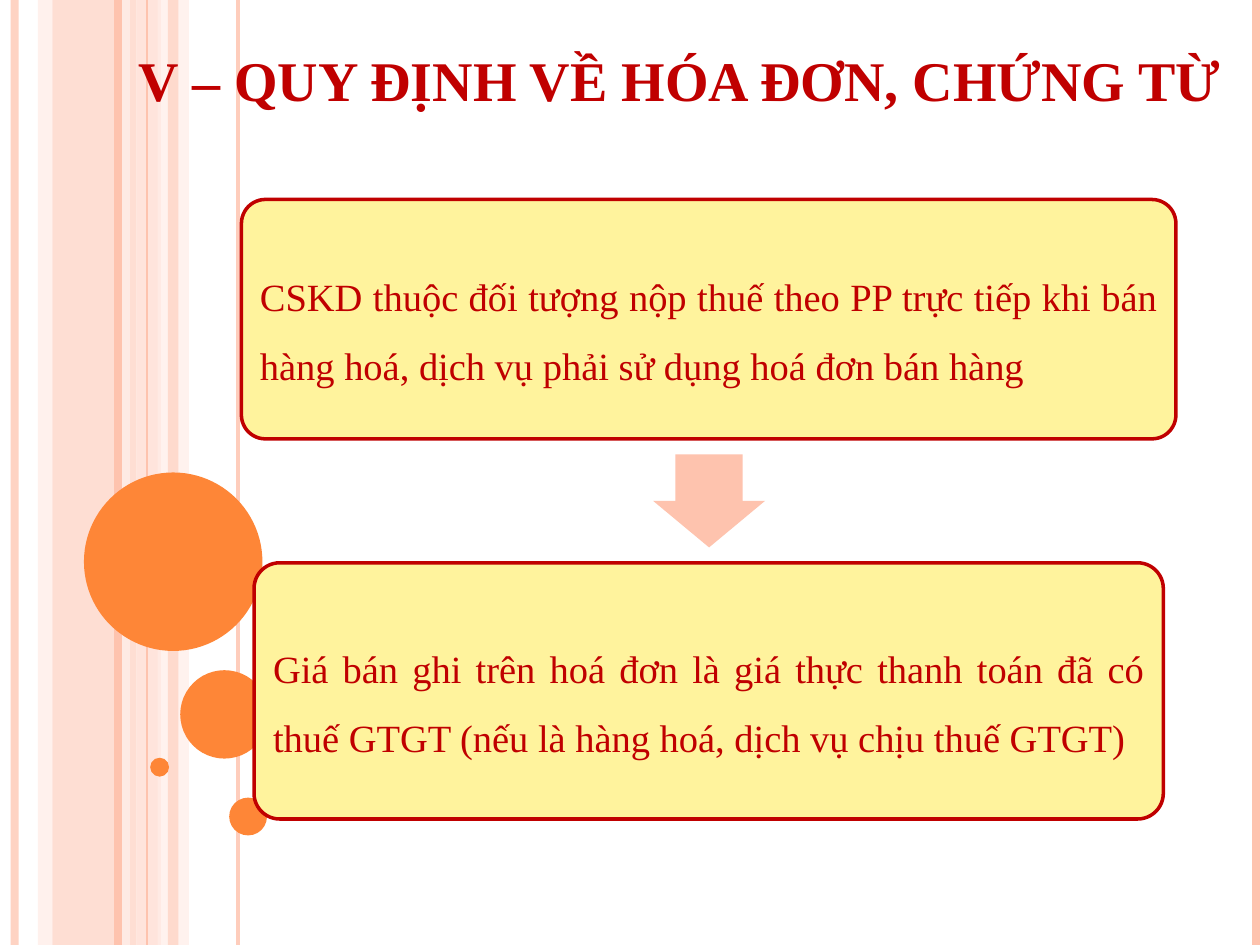
from lxml import etree
from pptx import Presentation
from pptx.dml.color import RGBColor
from pptx.enum.shapes import MSO_CONNECTOR, MSO_SHAPE
from pptx.enum.text import MSO_ANCHOR, PP_ALIGN
from pptx.oxml.ns import qn
from pptx.util import Pt

RECTANGLE = MSO_SHAPE.RECTANGLE
ROUNDED = MSO_SHAPE.ROUNDED_RECTANGLE
OVAL = MSO_SHAPE.OVAL
DOWN_ARROW = MSO_SHAPE.DOWN_ARROW
STRAIGHT = MSO_CONNECTOR.STRAIGHT
LEFT, JUSTIFY = PP_ALIGN.LEFT, PP_ALIGN.JUSTIFY
TOP, MIDDLE = MSO_ANCHOR.TOP, MSO_ANCHOR.MIDDLE

PEACH = RGBColor(0xFE, 0xC3, 0xAE)
LIGHT_PEACH = RGBColor(0xFF, 0xD9, 0xCE)
PALE_PEACH = RGBColor(0xFF, 0xED, 0xE8)
ORANGE = RGBColor(0xFE, 0x86, 0x37)
YELLOW = RGBColor(0xFF, 0xF3, 0x9D)
DARK_RED = RGBColor(0xC0, 0x00, 0x00)

FONT = "Times New Roman"
SLIDE_WIDTH, SLIDE_HEIGHT = 720, 540
TITLE = "V – QUY ĐỊNH VỀ HÓA ĐƠN, CHỨNG TỪ"

# left, width, colour, opacity in percent
BANDS = [
    (30, 48, PEACH, 54),
    (21.6, 8.4, LIGHT_PEACH, 36),
    (78, 14, LIGHT_PEACH, 70),
    (90, 18, PALE_PEACH, 71),
]
FRONT_BAND = (96, 6, PEACH, 51)

# x, line width, colour, opacity in percent
STRIPES = [
    (8.4, 4.5, PEACH, 73),
    (72, 4.5, PALE_PEACH, 83),
    (67.2, 4.5, PEACH, 100),
    (136, 2.25, PEACH, 82),
    (84, 0.75, PEACH, 100),
    (717.6, 4.5, PEACH, 100),
]

# left, top, diameter
CIRCLES = [
    (48, 270, 102),
    (103, 383, 50.5),
    (85.8, 433, 10.8),
    (131, 455.8, 21.6),
]

# left, top, width, height, text
STEPS = [
    (138, 114, 534, 136.8,
     "CSKD thuộc đối tượng nộp thuế theo PP trực tiếp khi bán "
     "hàng hoá, dịch vụ phải sử dụng hoá đơn bán hàng"),
    (145.2, 321.6, 519.6, 146.4,
     "Giá bán ghi trên hoá đơn là giá thực thanh toán đã có "
     "thuế GTGT (nếu là hàng hoá, dịch vụ chịu thuế GTGT)"),
]


def set_opacity(element, percent):
    """Make the first colour of an element partly transparent."""
    if percent < 100:
        colour = next(element.iter(qn("a:srgbClr")))
        etree.SubElement(colour, qn("a:alpha")).set("val", str(percent * 1000))


def add_filled(slide, preset, left, top, width, height, colour, opacity=100):
    """Add a flat preset shape without an outline."""
    shape = slide.shapes.add_shape(preset, Pt(left), Pt(top), Pt(width), Pt(height))
    shape.shadow.inherit = False
    shape.fill.solid()
    shape.fill.fore_color.rgb = colour
    shape.line.fill.background()
    set_opacity(shape.fill._xPr, opacity)
    return shape


def add_band(slide, left, width, colour, opacity):
    """Add a vertical band over the full slide height."""
    add_filled(slide, RECTANGLE, left, 0, width, SLIDE_HEIGHT, colour, opacity)


def add_stripe(slide, x, width, colour, opacity):
    """Add a vertical line over the full slide height."""
    stripe = slide.shapes.add_connector(STRAIGHT, Pt(x), Pt(0), Pt(x), Pt(SLIDE_HEIGHT))
    stripe.line.width = Pt(width)
    stripe.line.color.rgb = colour
    properties = stripe._element.spPr
    set_opacity(properties, opacity)
    etree.SubElement(properties, qn("a:effectLst"))


def write_text(frame, text, size, alignment, anchor, bold=False):
    """Write one paragraph of red text into a frame."""
    frame.word_wrap = True
    frame.vertical_anchor = anchor
    paragraph = frame.paragraphs[0]
    paragraph.alignment = alignment
    run = paragraph.add_run()
    run.text = text
    run.font.name = FONT
    run.font.size = Pt(size)
    run.font.bold = bold
    run.font.color.rgb = DARK_RED
    return paragraph


def add_decoration(slide):
    """Draw the bands, stripes and circles of the background."""
    for band in BANDS:
        add_band(slide, *band)
    for stripe in STRIPES:
        add_stripe(slide, *stripe)
    add_band(slide, *FRONT_BAND)
    for left, top, diameter in CIRCLES:
        add_filled(slide, OVAL, left, top, diameter, diameter, ORANGE)


def add_title(slide):
    """Fill the title placeholder and bring it in front of the decoration."""
    title = slide.shapes.title
    title.left, title.top = Pt(72), Pt(22.3)
    title.width, title.height = Pt(642), Pt(46)
    write_text(title.text_frame, TITLE, 32, LEFT, TOP, bold=True)
    slide.shapes._spTree.append(title._element)


def add_step(slide, left, top, width, height, text):
    """Add a rounded box with one step of the rule."""
    box = add_filled(slide, ROUNDED, left, top, width, height, YELLOW)
    box.adjustments[0] = 0.1
    box.line.color.rgb = DARK_RED
    box.line.width = Pt(2)
    frame = box.text_frame
    frame.margin_left = frame.margin_right = Pt(6.6)
    frame.margin_top = frame.margin_bottom = Pt(6.6)
    paragraph = write_text(frame, text, 22, JUSTIFY, MIDDLE)
    paragraph.line_spacing = 1.5
    paragraph.space_after = Pt(7.7)


def add_step_arrow(slide):
    """Add the arrow between the two steps."""
    arrow = add_filled(slide, DOWN_ARROW, 373.2, 259.6, 64, 53.2, PEACH)
    arrow.adjustments[0] = 0.6
    arrow.adjustments[1] = 0.5


def main():
    """Build and save the slide."""
    deck = Presentation()
    deck.slide_width, deck.slide_height = Pt(SLIDE_WIDTH), Pt(SLIDE_HEIGHT)
    slide = deck.slides.add_slide(deck.slide_layouts.get_by_name("Title Only"))
    add_decoration(slide)
    add_title(slide)
    first_step, second_step = STEPS
    add_step(slide, *first_step)
    add_step_arrow(slide)
    add_step(slide, *second_step)
    deck.save("out.pptx")


main()
